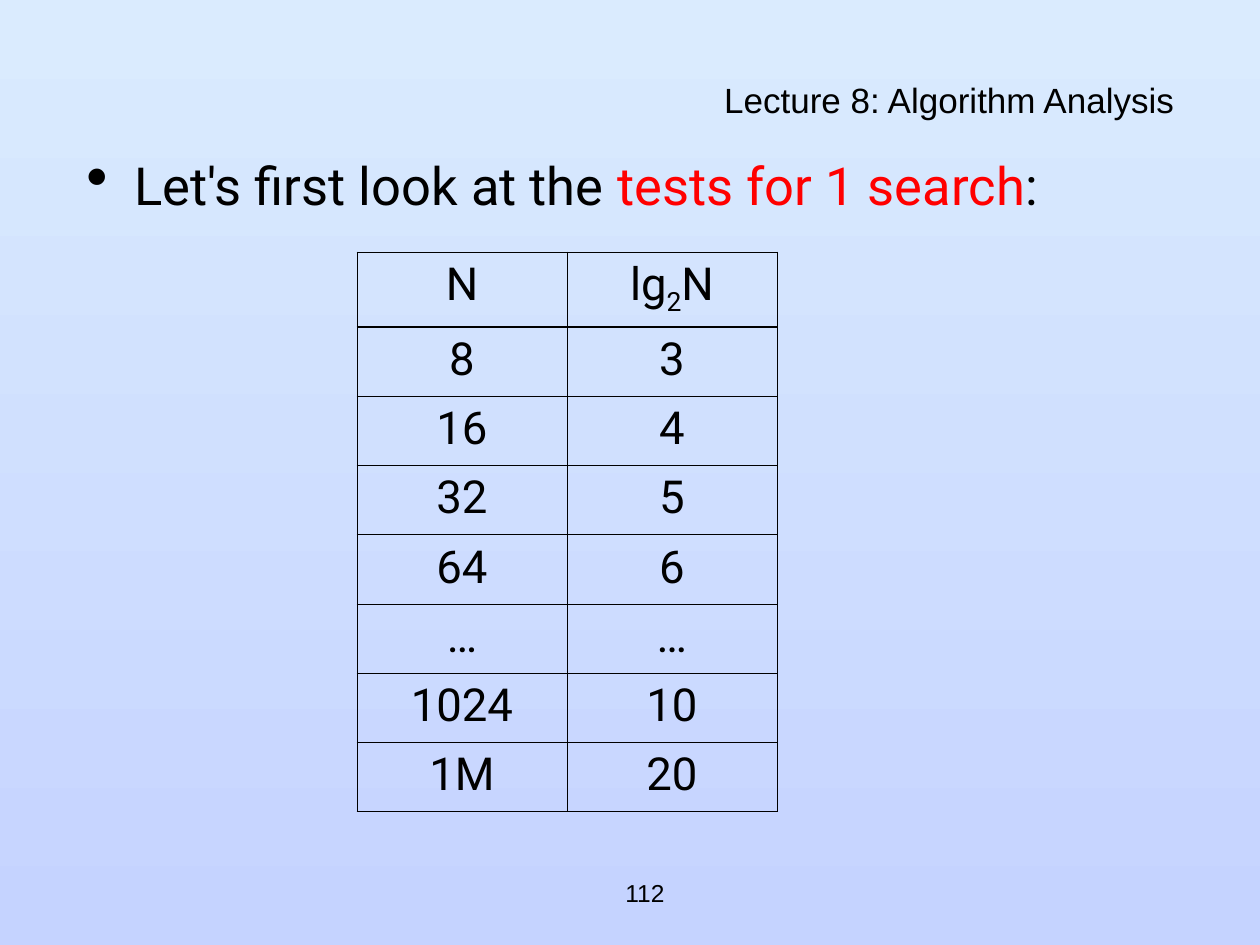
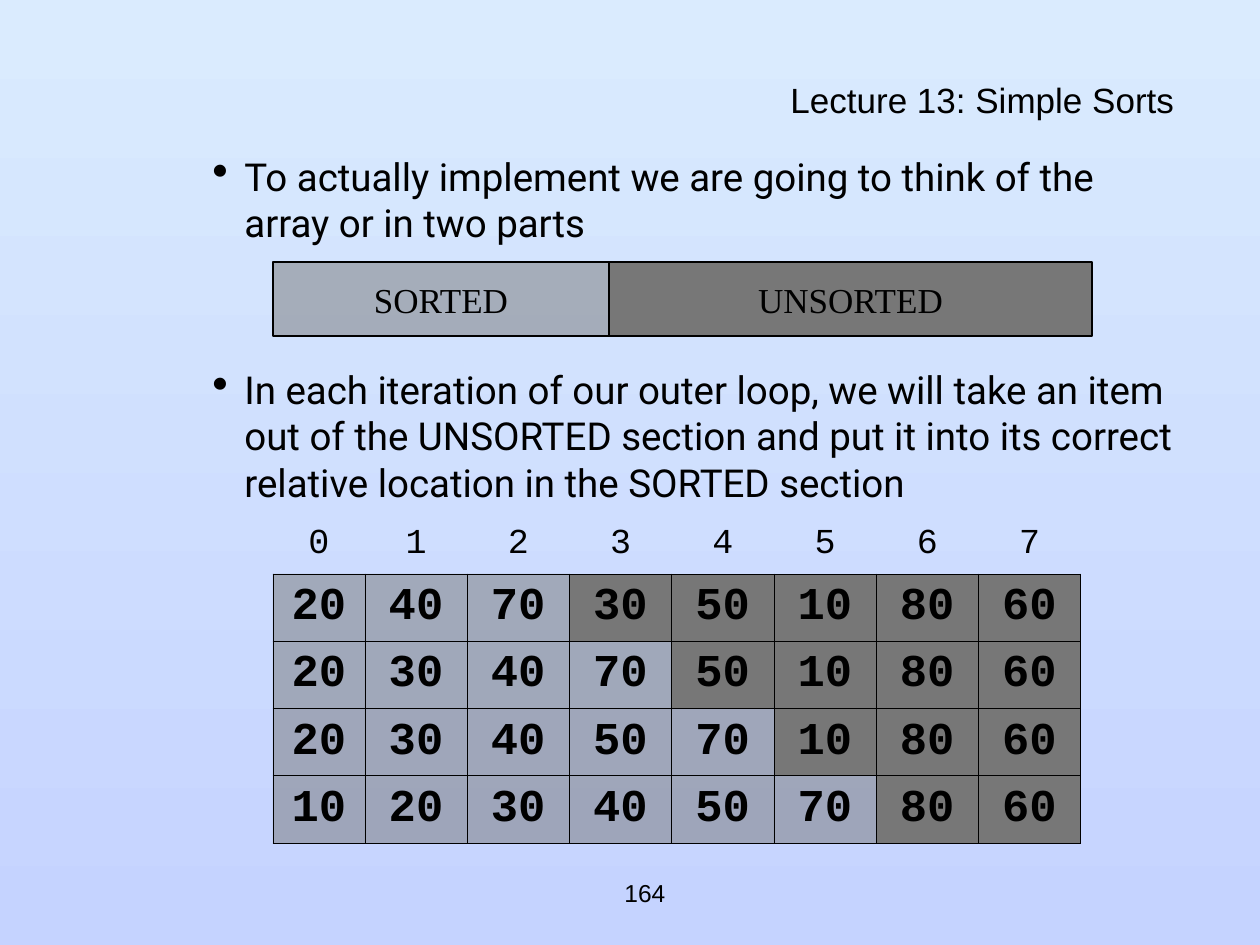
"""Build two lecture slides on search cost and insertion sort."""
import lxml.etree
import pptx
import pptx.dml.color
import pptx.enum.shapes
import pptx.enum.text
import pptx.oxml.ns
import pptx.util

SCALE = 914400 / 126
BLACK, RED, GREY = "000000", "FF0000", "777777"
SKY = ("DAEBFE", "C5D3FF")
THIN, THICK = 0.45, 1.47
ALIGN = pptx.enum.text.PP_ALIGN
ANCHOR = pptx.enum.text.MSO_ANCHOR
MIDDLE = {"vertical_anchor": ANCHOR.MIDDLE}
LOOSE = {"word_wrap": False, **MIDDLE}
HEAD = {"name": "Arial", "size": 20}
PAGE = {"name": "Arial", "size": 14}
LABEL = {"name": "Times New Roman", "size": 20}
INDEX = {"name": "Courier New", "size": 20}
VALUE = {"name": "Courier New", "size": 26, "bold": True}
COUNT = {"name": "Roboto", "size": 26}


def px(num):
    """Turn pixels into EMU."""
    return pptx.util.Emu(round(num * SCALE))


def rgb(code):
    """Turn a hex string into a colour."""
    return pptx.dml.color.RGBColor.from_string(code)


def put(item, vals):
    """Set every attribute named in a dict."""
    for key, val in vals.items():
        setattr(item, key, val)


def add(parent, tag, **attrs):
    """Append one drawing element."""
    node = lxml.etree.SubElement(parent, pptx.oxml.ns.qn(tag))
    for key, val in attrs.items():
        node.set(key, str(val))
    return node


def write(frame, text, font, align=ALIGN.CENTER):
    """Fill the first paragraph with a string or a list of formatted runs."""
    para = frame.paragraphs[0]
    para.alignment = align
    for words, code, base in [(text, BLACK, 0)] if isinstance(text, str) else text:
        run = para.add_run()
        run.text = words
        put(run.font, {**font, "size": pptx.util.Pt(font["size"])})
        run.font.color.rgb = rgb(code)
        if base:
            run.font._element.set("baseline", str(base * 1000))
    return para


def paint(fill, props, code, alpha=100):
    """Give a shape or cell a solid, possibly see-through, fill."""
    fill.solid()
    fill.fore_color.rgb = rgb(code)
    if alpha < 100:
        solid = props.find(pptx.oxml.ns.qn("a:solidFill"))
        add(solid[0], "a:alpha", val=alpha * 1000)


def edge(cell, left, right, top, bottom):
    """Draw the four cell borders; a zero width hides one."""
    props = cell._tc.get_or_add_tcPr()
    for side, width in zip("LRTB", (left, right, top, bottom)):
        line = add(props, f"a:ln{side}", w=round(width * 12700))
        if width:
            add(add(line, "a:solidFill"), "a:srgbClr", val=BLACK)
        else:
            add(line, "a:noFill")


def textbox(slide, box, text, font, frame, align=ALIGN.CENTER):
    """Add a text box and return its paragraph."""
    shape = slide.shapes.add_textbox(*map(px, box))
    put(shape.text_frame, frame)
    return write(shape.text_frame, text, font, align)


def bullet(slide, top, high, text, size, left, hang):
    """Add one bulleted paragraph in the body column."""
    para = textbox(slide, (74, top, 1113, high), text, {"name": "Roboto", "size": size},
                   {"word_wrap": True}, ALIGN.LEFT)
    props = para._p.get_or_add_pPr()
    put_in = {"marL": px(left), "indent": px(-hang)}
    for key, val in put_in.items():
        props.set(key, str(val))
    add(add(props, "a:buClr"), "a:srgbClr", val=BLACK)
    add(props, "a:buSzPct", val=120000)
    add(props, "a:buChar", char="•")


def block(slide, box, text, alpha):
    """Add a labelled grey rectangle."""
    kind = pptx.enum.shapes.MSO_SHAPE.RECTANGLE
    shape = slide.shapes.add_shape(kind, *map(px, box))
    shape.shadow.inherit = False
    paint(shape.fill, shape.element.spPr, GREY, alpha)
    shape.line.color.rgb = rgb(BLACK)
    shape.line.width = pptx.util.Pt(0.75)
    put(shape.text_frame, LOOSE)
    write(shape.text_frame, text, LABEL)


def split(total, first, count):
    """Return one first length and equal shares of the rest."""
    return [first] + [(total - first) / (count - 1)] * (count - 1)


def grid(slide, box, wide, high, rows, style):
    """Add a table whose first column and row have their own size."""
    table = slide.shapes.add_table(len(rows), len(rows[0]), *map(px, box)).table
    put(table, {"first_row": False, "horz_banding": False})
    for col, size in zip(table.columns, split(box[2], wide, len(rows[0]))):
        col.width = px(size)
    for row, size in zip(table.rows, split(box[3], high, len(rows))):
        row.height = px(size)
    for r, row in enumerate(rows):
        for c, text in enumerate(row):
            cell = table.cell(r, c)
            write(cell.text_frame, text, style(cell, r, c))


def count_style(cell, r, c):
    """Style a cell of the search table, with a heavy line under its head."""
    edge(cell, THIN, THIN, THICK if r == 1 else THIN, THICK if r == 0 else THIN)
    cell.fill.background()
    return COUNT


def sort_style(cell, r, c):
    """Style a cell of the sort table; each pass sorts one more item."""
    cell.vertical_anchor = ANCHOR.MIDDLE
    if r == 0:
        edge(cell, 0, 0, 0, THIN)
        cell.fill.background()
        return INDEX
    edge(cell, THIN, THIN, THIN, THIN)
    paint(cell.fill, cell._tc.tcPr, GREY, 50 if c < r + 2 else 100)
    return VALUE


def start(prs, title, page):
    """Add a slide with its title and page number."""
    slide = prs.slides.add_slide(prs.slide_layouts[5])
    head = slide.shapes.title
    put(head, dict(zip(("left", "top", "width", "height"), map(px, (74, 84, 1113, 42)))))
    put(head.text_frame, {"auto_size": pptx.enum.text.MSO_AUTO_SIZE.NONE, **MIDDLE})
    write(head.text_frame, title, HEAD, ALIGN.RIGHT).line_spacing = 0.7
    textbox(slide, (514, 861, 262, 63), page, PAGE, LOOSE)
    return slide


def search(prs):
    """Build the slide on tests for one search."""
    slide = start(prs, "Lecture 8: Algorithm Analysis", "112")
    bullet(slide, 147, 80, [("Let's first look at the ", BLACK, 0),
                            ("tests for 1 search", RED, 0), (":", BLACK, 0)], 30, 48, 48)
    log = [("lg", BLACK, 0), ("2", BLACK, -25), ("N", BLACK, 0)]
    rows = [("N", log), ("8", "3"), ("16", "4"), ("32", "5"), ("64", "6"),
            ("…", "…"), ("1024", "10"), ("1M", "20")]
    grid(slide, (357, 252, 420, 560), 210, 75, rows, count_style)


def sort(prs):
    """Build the slide on the sorted and unsorted parts."""
    slide = start(prs, "Lecture 13: Simple Sorts", "164")
    bullet(slide, 147, 105, "To actually implement we are going to think of the "
           "array or in two parts", 22, 158, 32)
    bullet(slide, 360, 150, "In each iteration of our outer loop, we will take an item "
           "out of the UNSORTED section and put it into its correct "
           "relative location in the SORTED section", 22, 158, 32)
    block(slide, (273, 262, 336, 74), "SORTED", 50)
    block(slide, (609, 262, 483, 74), "UNSORTED", 100)
    lines = ("0 1 2 3 4 5 6 7", "20 40 70 30 50 10 80 60", "20 30 40 70 50 10 80 60",
             "20 30 40 50 70 10 80 60", "10 20 30 40 50 70 80 60")
    rows = [line.split() for line in lines]
    grid(slide, (273, 514, 808, 329), 92, 60, rows, sort_style)


def main():
    """Build and save the deck."""
    prs = pptx.Presentation()
    put(prs, {"slide_width": px(1260), "slide_height": px(945)})
    fill = prs.slide_master.background.fill
    fill.gradient()
    fill.gradient_angle = 270
    for stop, code in zip(fill.gradient_stops, SKY):
        stop.color.rgb = rgb(code)
    search(prs)
    sort(prs)
    prs.save("out.pptx")


if __name__ == "__main__":
    main()
